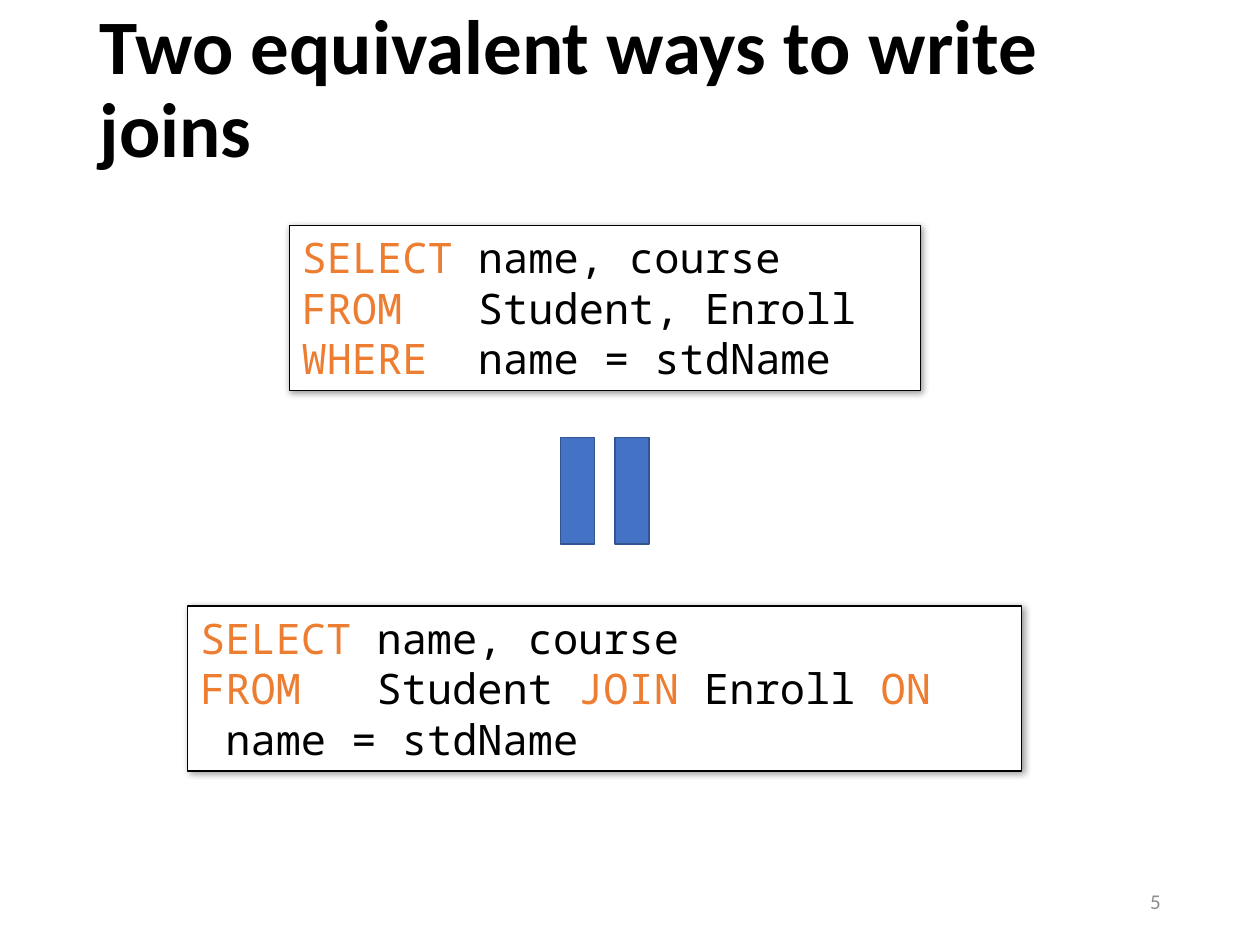
from dataclasses import dataclass

from lxml import etree
from pptx import Presentation
from pptx.dml.color import RGBColor
from pptx.enum.shapes import MSO_SHAPE
from pptx.enum.text import MSO_ANCHOR, MSO_AUTO_SIZE, PP_ALIGN
from pptx.oxml import parse_xml
from pptx.oxml.ns import nsdecls, qn
from pptx.util import Inches, Pt

RECTANGLE, EQUAL_SIGN = MSO_SHAPE.RECTANGLE, MSO_SHAPE.MATH_EQUAL
TOP, MIDDLE = MSO_ANCHOR.TOP, MSO_ANCHOR.MIDDLE
LEFT, RIGHT = PP_ALIGN.LEFT, PP_ALIGN.RIGHT
NO_AUTOFIT = MSO_AUTO_SIZE.NONE
TITLE_ONLY_LAYOUT = 5


@dataclass(frozen=True)
class Theme:
    body_font: str = "Calibri"
    code_font: str = "Noto Sans Mono"
    title_size: int = 44
    code_size: int = 24
    number_size: int = 12
    text: str = "000000"
    keyword: str = "ED7D31"
    paper: str = "FFFFFF"
    muted: str = "8C8C8C"
    sign: str = "4472C4"
    sign_line: str = "325491"


THEME = Theme()
SLIDE_WIDTH, SLIDE_HEIGHT = 10, 7.5
MARGIN = 0.69
CONTENT_WIDTH = SLIDE_WIDTH - 2 * MARGIN
QUERY_CENTER = 4.8
QUERY_HEIGHT = 1.31

KEYWORDS = {"SELECT", "FROM", "WHERE", "JOIN", "ON"}
IMPLICIT_JOIN = [
    ["SELECT", " name, course"],
    ["FROM", "   Student, Enroll"],
    ["WHERE", "  name = stdName"],
]
EXPLICIT_JOIN = [
    ["SELECT", " name, course"],
    ["FROM", "   Student ", "JOIN", " Enroll ", "ON"],
    [" name = stdName"],
]


def color(value):
    return RGBColor.from_string(value)


def centered_box(width, top, height):
    """Box of the given size, centred on the axis of the queries."""
    return [Inches(n) for n in (QUERY_CENTER - width / 2, top, width, height)]


def paint(shape, fill, line, line_width):
    shape.shadow.inherit = False
    shape.fill.solid()
    shape.fill.fore_color.rgb = color(fill)
    shape.line.color.rgb = color(line)
    shape.line.width = Pt(line_width)


def set_font(font, name, size, text_color, bold=False):
    font.name, font.size, font.bold = name, Pt(size), bold
    font.color.rgb = color(text_color)


def add_soft_shadow(shape):
    effects = shape._element.spPr.find(qn("a:effectLst"))
    shadow = parse_xml(
        f'<a:outerShdw {nsdecls("a")} blurRad="{Pt(4)}" dist="{Pt(1)}" '
        'dir="2700000" algn="tl" rotWithShape="0"/>')
    black = etree.SubElement(shadow, qn("a:srgbClr"), val="000000")
    etree.SubElement(black, qn("a:alpha"), val="40000")
    effects.append(shadow)


def place_title(slide, box, text):
    title = slide.shapes.title
    title.left, title.top, title.width, title.height = box
    frame = title.text_frame
    frame.text = text
    frame.word_wrap = True
    frame.auto_size = NO_AUTOFIT
    frame.vertical_anchor = MIDDLE
    paragraph = frame.paragraphs[0]
    paragraph.alignment = LEFT
    paragraph.line_spacing = 0.9
    set_font(paragraph.font, THEME.body_font, THEME.title_size, THEME.text, True)


def add_query(slide, box, lines):
    shape = slide.shapes.add_shape(RECTANGLE, *box)
    paint(shape, THEME.paper, THEME.text, 0.75)
    add_soft_shadow(shape)
    frame = shape.text_frame
    frame.word_wrap = True
    frame.vertical_anchor = TOP
    paragraph = frame.paragraphs[0]
    paragraph.alignment = LEFT
    set_font(paragraph.font, THEME.code_font, THEME.code_size, THEME.text)
    for index, line in enumerate(lines):
        if index:
            paragraph.add_line_break()
        for part in line:
            run = paragraph.add_run()
            run.text = part
            if part in KEYWORDS:
                run.font.color.rgb = color(THEME.keyword)


def add_equal_sign(slide, box):
    sign = slide.shapes.add_shape(EQUAL_SIGN, *box)
    sign.rotation = 90
    sign.adjustments[0], sign.adjustments[1] = 0.2, 0.12
    paint(sign, THEME.sign, THEME.sign_line, 1)


def add_page_number(slide, box, number):
    frame = slide.shapes.add_textbox(*box).text_frame
    frame.text = number
    frame.word_wrap = True
    frame.vertical_anchor = MIDDLE
    paragraph = frame.paragraphs[0]
    paragraph.alignment = RIGHT
    set_font(paragraph.font, THEME.body_font, THEME.number_size, THEME.muted)


def main():
    presentation = Presentation()
    presentation.slide_width = Inches(SLIDE_WIDTH)
    presentation.slide_height = Inches(SLIDE_HEIGHT)
    layout = presentation.slide_layouts[TITLE_ONLY_LAYOUT]
    slide = presentation.slides.add_slide(layout)

    # Title
    title_box = [Inches(n) for n in (MARGIN, 0, CONTENT_WIDTH, 1.45)]
    place_title(slide, title_box, "Two equivalent ways to write joins")

    # Two queries with an upright equal sign between them
    add_query(slide, centered_box(5.01, 1.79, QUERY_HEIGHT), IMPLICIT_JOIN)
    add_query(slide, centered_box(6.62, 4.81, QUERY_HEIGHT), EXPLICIT_JOIN)
    add_equal_sign(slide, centered_box(1.15, 3.22, 1.35))

    # Page number, flush with the right margin
    number_width = 2.25
    number_left = SLIDE_WIDTH - MARGIN - number_width
    add_page_number(
        slide, [Inches(n) for n in (number_left, 6.95, number_width, 0.4)], "5")

    presentation.save("out.pptx")


if __name__ == "__main__":
    main()
